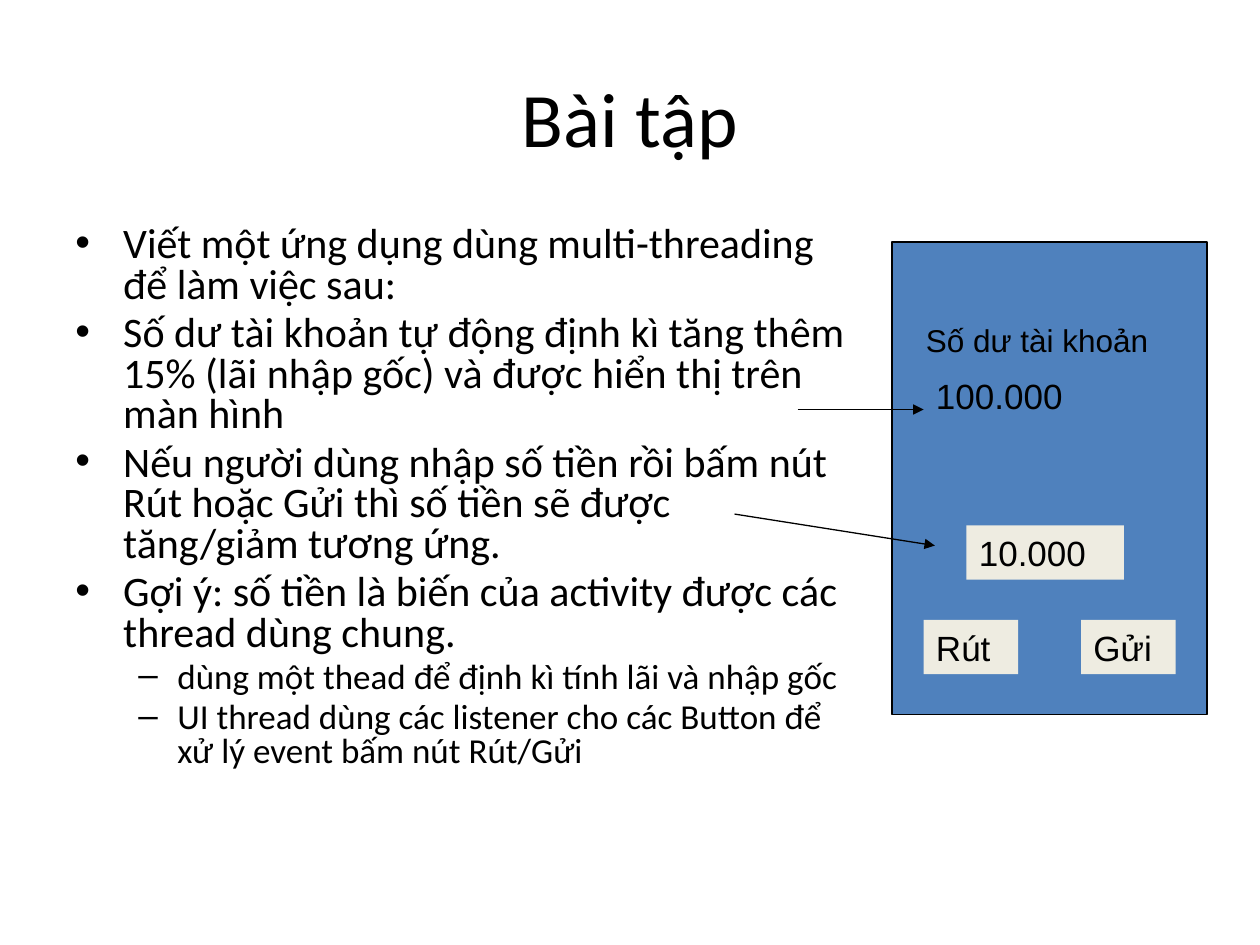
from dataclasses import dataclass

from lxml import etree
from pptx import Presentation
from pptx.dml.color import RGBColor
from pptx.enum.shapes import MSO_CONNECTOR, MSO_SHAPE
from pptx.enum.text import MSO_ANCHOR, MSO_AUTO_SIZE, PP_ALIGN
from pptx.oxml.ns import qn
from pptx.util import Inches, Pt

RECTANGLE = MSO_SHAPE.RECTANGLE
STRAIGHT = MSO_CONNECTOR.STRAIGHT
TOP, MIDDLE = MSO_ANCHOR.TOP, MSO_ANCHOR.MIDDLE
LEFT, CENTER = PP_ALIGN.LEFT, PP_ALIGN.CENTER
GROW = MSO_AUTO_SIZE.SHAPE_TO_FIT_TEXT


@dataclass(frozen=True)
class Theme:
    ink: RGBColor = RGBColor(0x00, 0x00, 0x00)
    screen: RGBColor = RGBColor(0x4F, 0x81, 0xBD)
    field: RGBColor = RGBColor(0xEE, 0xEC, 0xE1)
    heading_font: str = "Calibri"
    screen_font: str = "Arial"
    title_size: int = 44
    body_sizes: tuple = (24, 20)
    label_size: int = 18
    field_size: int = 20
    line_width: float = 0.75


BULLETS = (("•", 0.38, 0.38), ("–", 0.81, 0.31))

TASKS = [
    (0, "Viết một ứng dụng dùng multi-threading để làm việc sau:"),
    (0, "Số dư tài khoản tự động định kì tăng thêm 15% (lãi nhập gốc) và được hiển thị trên màn hình"),
    (0, "Nếu người dùng nhập số tiền rồi bấm nút Rút hoặc Gửi thì số tiền sẽ được tăng/giảm tương ứng."),
    (0, "Gợi ý: số tiền là biến của activity được các thread dùng chung."),
    (1, "dùng một thead để định kì tính lãi và nhập gốc"),
    (1, "UI thread dùng các listener cho các Button để xử lý event bấm nút Rút/Gửi"),
]

FIELD_HEIGHT = 0.43
BUTTON_TOP, BUTTON_WIDTH = 4.92, 0.75


def write_text(para, text, *, font, size, color, align=LEFT):
    span = para.add_run()
    span.text = text
    span.font.name = font
    span.font.size = Pt(size)
    span.font.color.rgb = color
    para.alignment = align


class SlideBuilder:
    """Draws the elements of one slide in a shared style."""

    def __init__(self, page, theme):
        self.page = page
        self.theme = theme
        self.screen = page.shapes.add_group_shape().shapes

    def prepare_frame(self, box, anchor=TOP):
        frame = box.text_frame
        frame.word_wrap = True
        frame.vertical_anchor = anchor
        return frame

    def title(self, text, *area):
        box = self.page.shapes.add_textbox(*map(Inches, area))
        frame = self.prepare_frame(box, MIDDLE)
        write_text(frame.paragraphs[0], text, font=self.theme.heading_font,
                   size=self.theme.title_size, color=self.theme.ink, align=CENTER)

    def bullet_list(self, items, *area):
        box = self.page.shapes.add_textbox(*map(Inches, area))
        frame = self.prepare_frame(box)
        for index, (level, text) in enumerate(items):
            para = frame.add_paragraph() if index else frame.paragraphs[0]
            size = self.theme.body_sizes[level]
            write_text(para, text, font=self.theme.heading_font,
                       size=size, color=self.theme.ink)
            para.level = level
            para.line_spacing = 0.8
            para.space_before = Pt(size * 0.2)
            mark, margin, hanging = BULLETS[level]
            properties = para._p.get_or_add_pPr()
            properties.set("marL", str(Inches(margin)))
            properties.set("indent", str(-Inches(hanging)))
            etree.SubElement(properties, qn("a:buFont"), typeface="Arial")
            etree.SubElement(properties, qn("a:buChar"), char=mark)

    def panel(self, color, *area, outlined=False):
        box = self.screen.add_shape(RECTANGLE, *map(Inches, area))
        box.shadow.inherit = False
        box.fill.solid()
        box.fill.fore_color.rgb = color
        if outlined:
            box.line.color.rgb = self.theme.ink
            box.line.width = Pt(self.theme.line_width)
        else:
            box.line.fill.background()
        return box

    def caption(self, box, text, size):
        frame = self.prepare_frame(box)
        frame.auto_size = GROW
        write_text(frame.paragraphs[0], text, font=self.theme.screen_font,
                   size=size, color=self.theme.ink)

    def label(self, text, size, *area):
        self.caption(self.screen.add_textbox(*map(Inches, area)), text, size)

    def field(self, text, left, top, width):
        box = self.panel(self.theme.field, left, top, width, FIELD_HEIGHT)
        self.caption(box, text, self.theme.field_size)

    def arrow(self, *ends):
        line = self.page.shapes.add_connector(STRAIGHT, *map(Inches, ends))
        line.line.color.rgb = self.theme.ink
        line.line.width = Pt(self.theme.line_width)
        etree.SubElement(line.line._get_or_add_ln(), qn("a:tailEnd"), type="triangle")
        etree.SubElement(line._element.spPr, qn("a:effectLst"))


def main():
    deck = Presentation()
    deck.slide_width, deck.slide_height = Inches(10), Inches(7.5)
    theme = Theme()
    slide = SlideBuilder(deck.slides.add_slide(deck.slide_layouts[6]), theme)

    slide.title("Bài tập", 0.5, 0.3, 9, 1.25)
    slide.bullet_list(TASKS, 0.5, 1.75, 6.33, 4.95)

    slide.panel(theme.screen, 7.08, 1.92, 2.5, 3.75, outlined=True)
    slide.label("100.000", theme.field_size, 7.33, 2.92, 1.25, FIELD_HEIGHT)
    slide.label("Số dư tài khoản", theme.label_size, 7.25, 2.5, 2, 0.4)
    slide.field("10.000", 7.67, 4.17, 1.25)
    for text, left in (("Rút", 7.33), ("Gửi", 8.58)):
        slide.field(text, left, BUTTON_TOP, BUTTON_WIDTH)

    slide.arrow(6.33, 3.25, 7.33, 3.25)
    slide.arrow(5.83, 4.08, 7.42, 4.33)
    deck.save("out.pptx")


if __name__ == "__main__":
    main()
